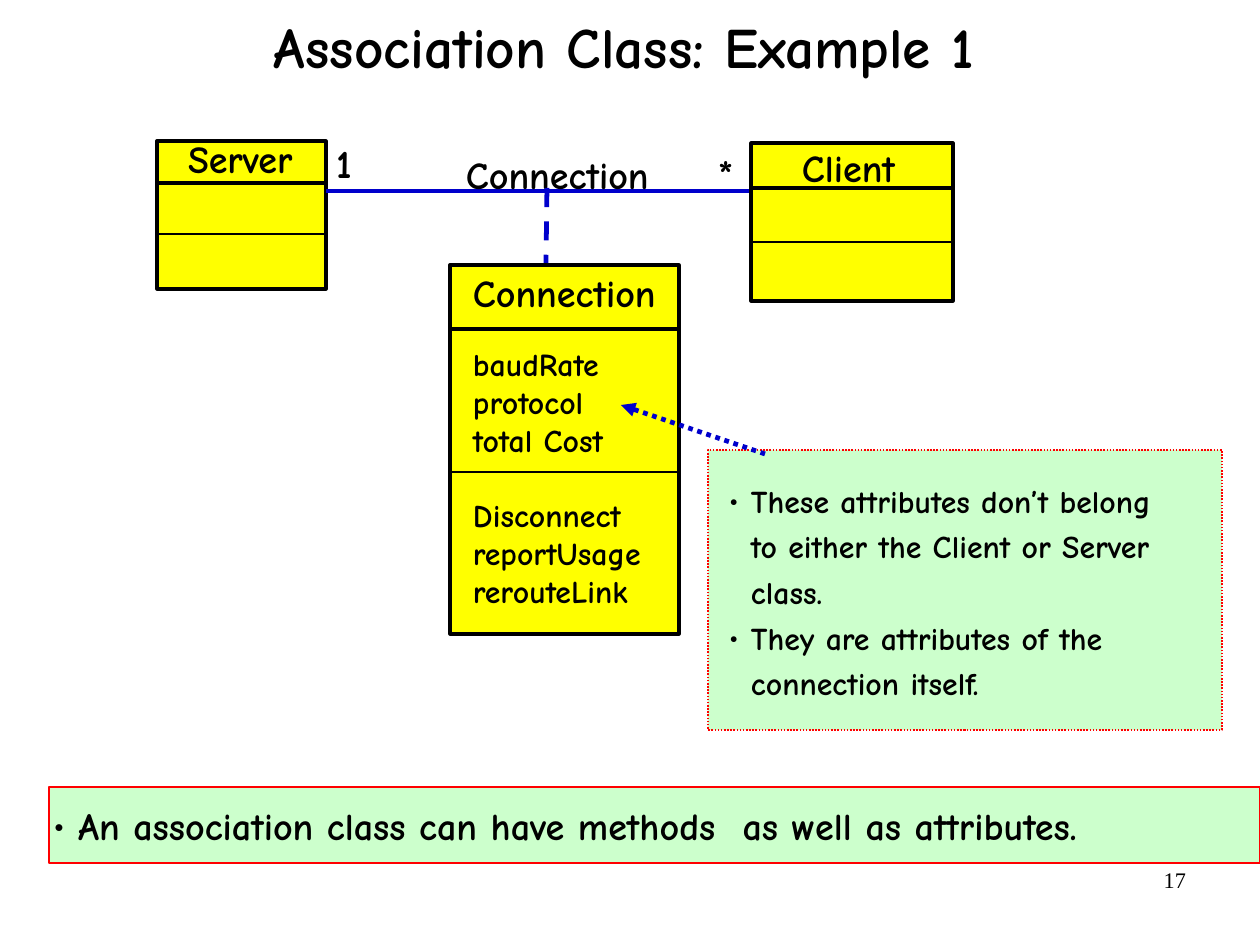
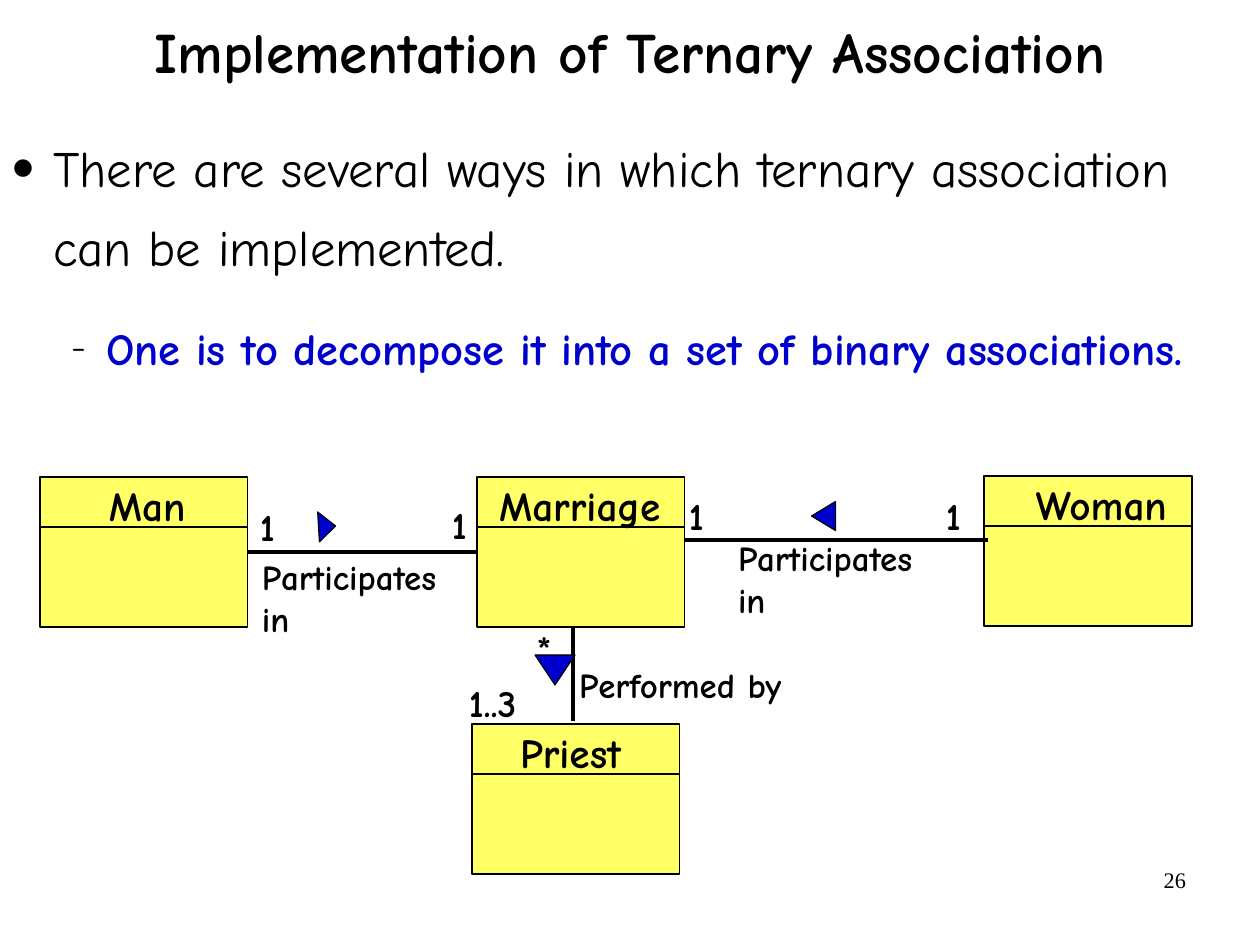
from lxml.etree import SubElement
from pptx import Presentation
from pptx.dml.color import RGBColor
from pptx.enum.dml import MSO_LINE
from pptx.enum.shapes import MSO_CONNECTOR, MSO_SHAPE
from pptx.enum.text import MSO_ANCHOR, MSO_AUTO_SIZE, PP_ALIGN
from pptx.oxml.ns import qn
from pptx.util import Emu, Pt

BLACK = RGBColor(0, 0, 0)
BLUE = RGBColor(0x00, 0x00, 0xCC)
RED = RGBColor(0xFF, 0x00, 0x00)
GREEN = RGBColor(0xCC, 0xFF, 0xCC)
YELLOW = RGBColor(0xFF, 0xFF, 0x00)
LEMON = RGBColor(0xFF, 0xFF, 0x66)
SANS = "Comic Neue"
SERIF = "Times New Roman"
PX = 8000
WIDE, HIGH = 1260, 945


def px(*sizes):
    return [Emu(size * PX) for size in sizes]


def bullet(para, char, left, hang, scale=100):
    props = para._p.get_or_add_pPr()
    props.set("marL", str(left * PX))
    props.set("indent", str(-hang * PX))
    color = SubElement(props, qn("a:buClr"))
    SubElement(color, qn("a:srgbClr")).set("val", str(BLACK))
    SubElement(props, qn("a:buSzPct")).set("val", str(scale * 1000))
    SubElement(props, qn("a:buFont")).set("typeface", SANS)
    SubElement(props, qn("a:buChar")).set("char", char)


def style(para, size=24, bold=True, color=BLACK, font=SANS, align=PP_ALIGN.LEFT,
          lead=None, before=None, after=None, mark=None):
    if mark:
        bullet(para, *mark)
    para.alignment = align
    para.line_spacing = lead
    para.space_before = before
    para.space_after = after
    for run in para.runs:
        run.font.size = Pt(size)
        run.font.bold = bold
        run.font.name = font
        run.font.color.rgb = color


def write(shape, text, pad=(13, 6, 13, 6), wrap=True, anchor=MSO_ANCHOR.TOP,
          fit=MSO_AUTO_SIZE.NONE, **look):
    frame = shape.text_frame
    frame.text = text
    frame.word_wrap = wrap
    frame.auto_size = fit
    frame.vertical_anchor = anchor
    (frame.margin_left, frame.margin_top,
     frame.margin_right, frame.margin_bottom) = px(*pad)
    for para in frame.paragraphs:
        style(para, **look)
    return frame


def label(slide, box, text, wrap=False, **look):
    shape = slide.shapes.add_textbox(*px(*box))
    return write(shape, text, wrap=wrap, fit=MSO_AUTO_SIZE.SHAPE_TO_FIT_TEXT, **look)


def block(slide, box, fill, line=BLACK, width=1, kind=MSO_SHAPE.RECTANGLE, dash=None):
    shape = slide.shapes.add_shape(kind, *px(*box))
    shape.shadow.inherit = False
    shape.fill.solid()
    shape.fill.fore_color.rgb = fill
    shape.line.color.rgb = line
    shape.line.width = Pt(width)
    shape.line.dash_style = dash
    return shape


def link(slide, ends, color=BLACK, width=3, dash=None, arrow=False):
    line = slide.shapes.add_connector(MSO_CONNECTOR.STRAIGHT, *px(*ends))
    line.line.color.rgb = color
    line.line.width = Pt(width)
    line.line.dash_style = dash
    if arrow:
        SubElement(line.line._get_or_add_ln(), qn("a:tailEnd")).set("type", "triangle")
    SubElement(line._element.spPr, qn("a:effectLst"))
    return line


def entity(slide, box, name, tag, cuts, fill=YELLOW, width=2, **look):
    x, y, w, h = box
    shape = block(slide, box, fill, width=width)
    for cut, thick in cuts:
        link(slide, (x, y + cut, x + w, y + cut), width=thick)
    dx, dy, wide, high = tag
    label(slide, (x + dx, y + dy, wide, high), name, **look)
    return shape


def person(slide, x, y, name, dx, wide):
    return entity(slide, (x, y, 208, 150), name, (dx, -4, wide, 63), [(50, 0.75)],
                  LEMON, 0.75, size=26, pad=(13, 7, 13, 7))


def page(deck, title, box, number):
    slide = deck.slides.add_slide(deck.slide_layouts[5])
    head = slide.shapes.title
    head.left, head.top, head.width, head.height = px(*box)
    write(head, title, pad=(0, 0, 0, 0), anchor=MSO_ANCHOR.MIDDLE,
          size=36, align=PP_ALIGN.CENTER, lead=0.88)
    foot = slide.shapes.add_textbox(*px(903, 860, 294, 65))
    write(foot, number, pad=(11, 6, 11, 6), size=14, bold=False, font=SERIF,
          align=PP_ALIGN.RIGHT)
    return slide


def example(deck):
    slide = page(deck, "Association Class: Example 1", (87, 0, 1074, 101), "17")
    banner = block(slide, (49, 787, WIDE - 49, 76), GREEN, RED)
    write(banner, "An association class can have methods  as well as attributes.",
          pad=(4, 6, 4, 6), anchor=MSO_ANCHOR.MIDDLE, mark=("•", 25, 25))
    note = block(slide, (708, 450, 514, 280), GREEN, RED, dash=MSO_LINE.ROUND_DOT)
    write(note, "These attributes don’t belong to either the Client or Server class.\n"
          "They are attributes of the connection itself.",
          pad=(21, 0, 56, 4), anchor=MSO_ANCHOR.MIDDLE, size=20, lead=1.2,
          mark=("•", 22, 22))
    entity(slide, (157, 141, 169, 148), "Server", (18, -12, 149, 58),
           [(42, 2), (93, 1)])
    entity(slide, (751, 143, 202, 158), "Client", (38, -5, 129, 58),
           [(45, 2), (99, 1)])
    link(slide, (326, 191, 749, 191), BLUE)
    entity(slide, (450, 265, 229, 369), "Connection", (10, -2, 218, 58),
           [(64, 2), (207, 1)])
    for y, rows in ((339, "baudRate\nprotocol\ntotal Cost"),
                    (490, "Disconnect\nreportUsage\nrerouteLink")):
        label(slide, (460, y, 213, 127), rows, size=20)
    link(slide, (765, 454, 621, 405), BLUE, dash=MSO_LINE.ROUND_DOT, arrow=True)
    label(slide, (453, 145, 218, 58), "Connection")
    link(slide, (547, 188, 546, 263), BLUE, dash=MSO_LINE.DASH)
    for x, y, w, text in ((336, 139, 24, "1"), (718, 149, 21, "*")):
        label(slide, (x, y, w, 48), text, size=25, pad=(0, 0, 0, 0))


def ternary(deck):
    slide = page(deck, "Implementation of Ternary Association", (0, 0, WIDE, 111), "26")
    body = slide.shapes.add_textbox(*px(0, 118, 1230, 331))
    frame = write(body, "There are several ways in which ternary association "
                  "can be implemented.", pad=(0, 0, 0, 0), size=32, bold=False,
                  lead=1.3, after=Pt(6), mark=("●", 53, 40, 45))
    para = frame.add_paragraph()
    para.text = "One is to decompose it into a set of binary associations."
    para.level = 1
    style(para, size=28, color=BLUE, lead=1.3, before=Pt(12), after=Pt(6),
          mark=("−", 106, 35, 75))

    man = person(slide, 40, 477, "Man", 56, 106)
    person(slide, 472, 724, "Priest", 35, 141)
    person(slide, 984, 476, "Woman", 39, 166)
    wife = person(slide, 477, 477, "Marriage", 9, 203)
    link(slide, (685, 540, 988, 540))
    link(slide, (573, 627, 573, 721))
    bond = link(slide, (248, 552, 477, 552))
    bond.begin_connect(man, 3)
    bond.end_connect(wife, 1)

    for x, y, w, text in ((249, 504, 46, "1"), (441, 502, 46, "1"),
                          (678, 493, 46, "1"), (935, 493, 46, "1"),
                          (458, 680, 102, "1..3"), (526, 626, 43, "*")):
        label(slide, (x, y, w, 51), text, pad=(11, 6, 11, 6), lead=0.87)
    for box, text, wrap in (((249, 549, 229, 96), "Participates in", True),
                            ((725, 530, 229, 96), "Participates in", True),
                            ((566, 657, 255, 55), "Performed by", False)):
        label(slide, box, text, wrap=wrap, size=22, pad=(13, 7, 13, 7))
    for box, turn in (((809, 504, 29, 24), 270), ((312, 518, 30, 17), 86.7),
                      ((535, 655, 40, 30), 180)):
        block(slide, box, BLUE, width=0.75,
              kind=MSO_SHAPE.ISOSCELES_TRIANGLE).rotation = turn


def main():
    deck = Presentation()
    deck.slide_width, deck.slide_height = px(WIDE, HIGH)
    example(deck)
    ternary(deck)
    deck.save("out.pptx")


if __name__ == "__main__":
    main()
